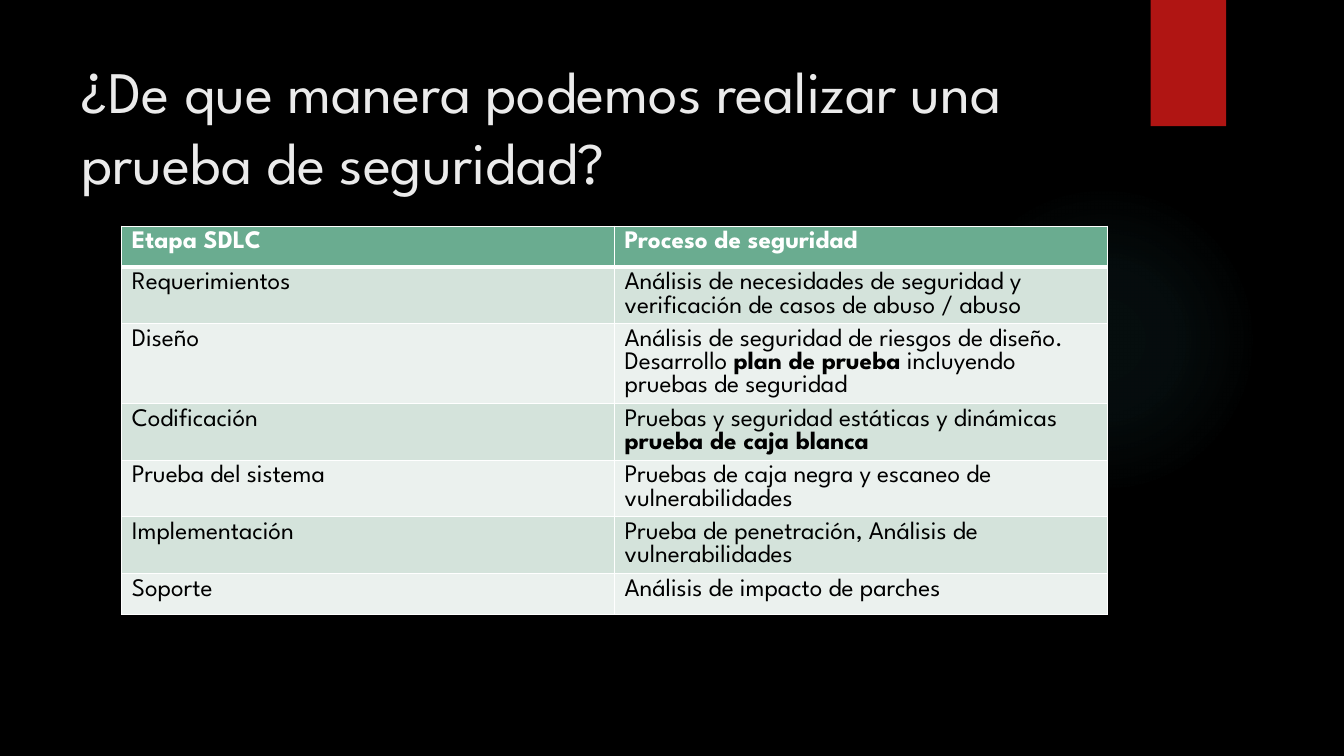
import pptx
import pptx.util
import pptx.dml.color
import pptx.enum.shapes
import pptx.enum.text
import pptx.oxml
import pptx.oxml.ns
from lxml import etree
from pptx.util import Cm, Pt

TITLE = "¿De que manera podemos realizar una prueba de seguridad?"
HEAD = ("Etapa SDLC", "Proceso de seguridad")
# Process text is split in parts; every second part is bold.
STAGES = [
    ("Requerimientos", ["Análisis de necesidades de seguridad y verificación de casos de abuso / abuso"]),
    ("Diseño", ["Análisis de seguridad de riesgos de diseño. Desarrollo ",
                "plan de prueba", " incluyendo pruebas de seguridad"]),
    ("Codificación", ["Pruebas y seguridad estáticas y dinámicas ", "prueba de caja blanca"]),
    ("Prueba del sistema", ["Pruebas de caja negra y escaneo de vulnerabilidades"]),
    ("Implementación", ["Prueba de penetración, Análisis de vulnerabilidades"]),
    ("Soporte", ["Análisis de impacto de parches"]),
]
THEME = {
    "font": "League Spartan",
    "title": (Pt(42), Pt(50.7)), "body": (Pt(18), Pt(16.6)),  # size and line pitch
    "back": "000000", "ink": "000000", "pale": "EBEBEB", "white": "FFFFFF",
    "red": "B01513", "glow": "50B9C1", "head": "6AAC90", "bands": ("D4E3DB", "EBF1EE"),
}
GLOW = [(0, 7), (36, 6), (69, 0)]  # position and opacity, in percent
SIDES = ("L", "R", "T", "B")


def paint(fill, tone):
    fill.solid()
    fill.fore_color.rgb = pptx.dml.color.RGBColor.from_string(tone)


def style(par, role, tone):
    par.font.name = THEME["font"]
    par.font.size, par.line_spacing = THEME[role]
    par.font.color.rgb = pptx.dml.color.RGBColor.from_string(tone)


def add_shape(slide, kind, *box):
    shape = slide.shapes.add_shape(kind, *map(Cm, box))
    shape.shadow.inherit = False
    shape.line.fill.background()
    return shape


def add_glow(slide):
    shape = add_shape(slide, pptx.enum.shapes.MSO_SHAPE.OVAL, 23.9, 4.65, 7.82, 7.82)
    stops = "".join(
        f'<a:gs pos="{pos * 1000}"><a:srgbClr val="{THEME["glow"]}">'
        f'<a:alpha val="{alpha * 1000}"/></a:srgbClr></a:gs>' for pos, alpha in GLOW)
    grad = pptx.oxml.parse_xml(
        f'<a:gradFill {pptx.oxml.ns.nsdecls("a")} rotWithShape="1"><a:gsLst>{stops}</a:gsLst>'
        '<a:path path="circle"><a:fillToRect l="50000" t="50000" r="50000" b="50000"/>'
        '</a:path></a:gradFill>')
    shape.element.spPr.find(pptx.oxml.ns.qn("a:prstGeom")).addnext(grad)


def edge(cell, widths):
    """Draw the cell borders, with one width in points per side."""
    props = cell._tc.get_or_add_tcPr()
    for spot, (side, width) in enumerate(zip(SIDES, widths)):
        line = etree.Element(pptx.oxml.ns.qn(f"a:ln{side}"), w=str(Pt(width)))
        fill = etree.SubElement(line, pptx.oxml.ns.qn("a:solidFill"))
        etree.SubElement(fill, pptx.oxml.ns.qn("a:srgbClr"), val=THEME["white"])
        props.insert(spot, line)


def add_title(slide):
    frame = slide.shapes.add_textbox(Cm(1.8), Cm(1.22), Cm(26.14), Cm(3.89)).text_frame
    frame.word_wrap = True
    frame.vertical_anchor = pptx.enum.text.MSO_ANCHOR.MIDDLE
    par = frame.paragraphs[0]
    par.text = TITLE
    style(par, "title", THEME["pale"])


def add_stages(slide):
    rows = [(HEAD[0], [HEAD[1]])] + STAGES
    high = 1.03
    table = slide.shapes.add_table(
        len(rows), 2, Cm(3.07), Cm(5.7), Cm(24.84), Cm(high * len(rows))).table
    for row, (stage, parts) in enumerate(rows):
        top = row == 0
        table.rows[row].height = Cm(high)
        band = THEME["head"] if top else THEME["bands"][(row - 1) % 2]
        for cell, texts in zip(table.rows[row].cells, ([stage], parts)):
            par = cell.text_frame.paragraphs[0]
            for spot, text in enumerate(texts):
                run = par.add_run()
                run.text = text
                run.font.bold = top or spot % 2 == 1
            style(par, "body", THEME["white"] if top else THEME["ink"])
            paint(cell.fill, band)
            edge(cell, (1, 1, 3 if row == 1 else 1, 3 if top else 1))


def main():
    deck = pptx.Presentation()
    deck.slide_width, deck.slide_height = Cm(33.87), Cm(19.05)
    slide = deck.slides.add_slide(deck.slide_layouts[6])
    paint(slide.background.fill, THEME["back"])
    add_glow(slide)
    flag = add_shape(slide, pptx.enum.shapes.MSO_SHAPE.RECTANGLE, 29, 0, 1.9, 3.18)
    paint(flag.fill, THEME["red"])
    add_title(slide)
    add_stages(slide)
    deck.save("out.pptx")


if __name__ == "__main__":
    main()
